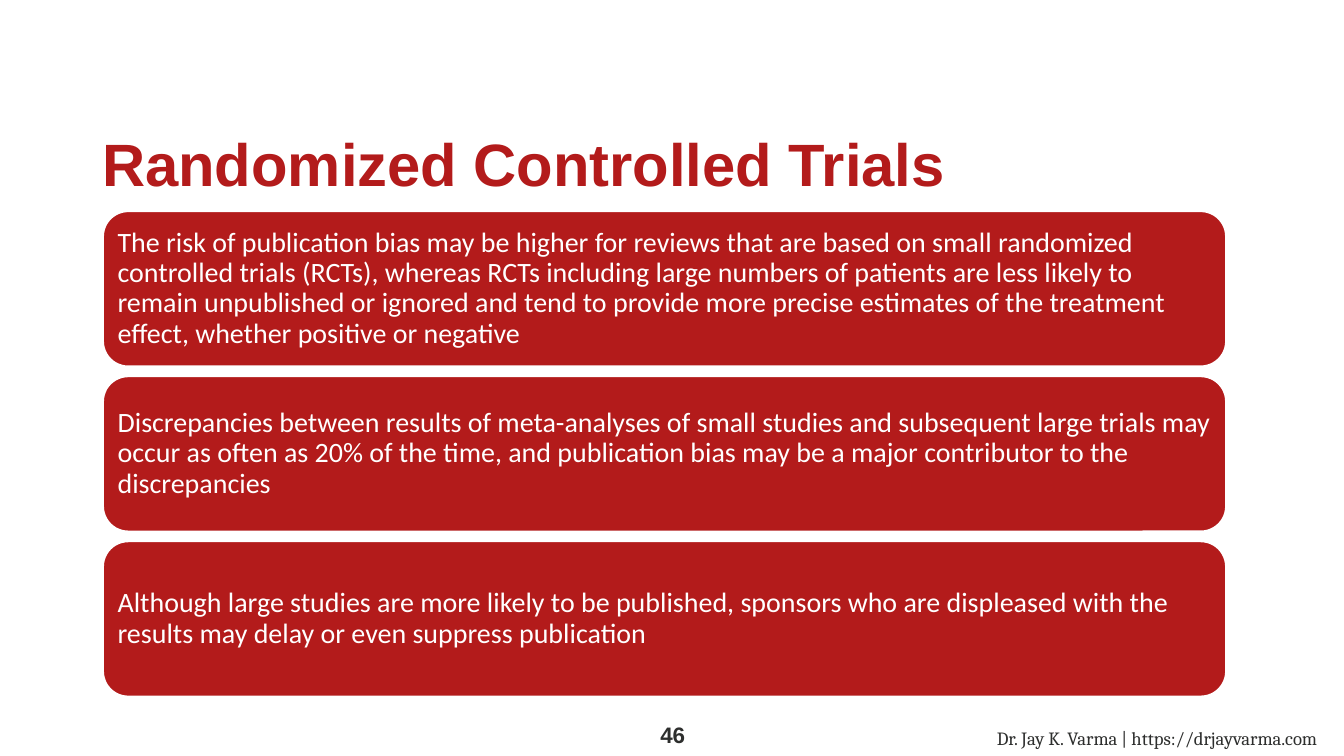
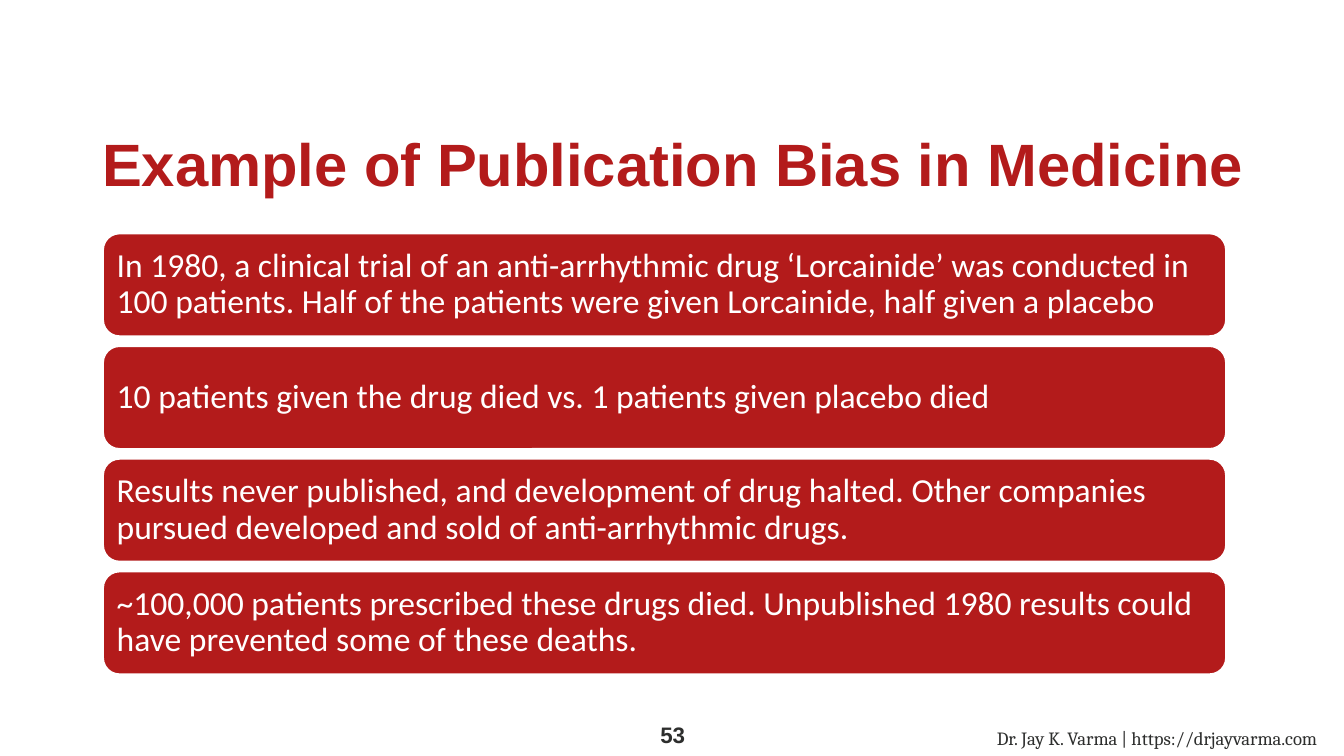
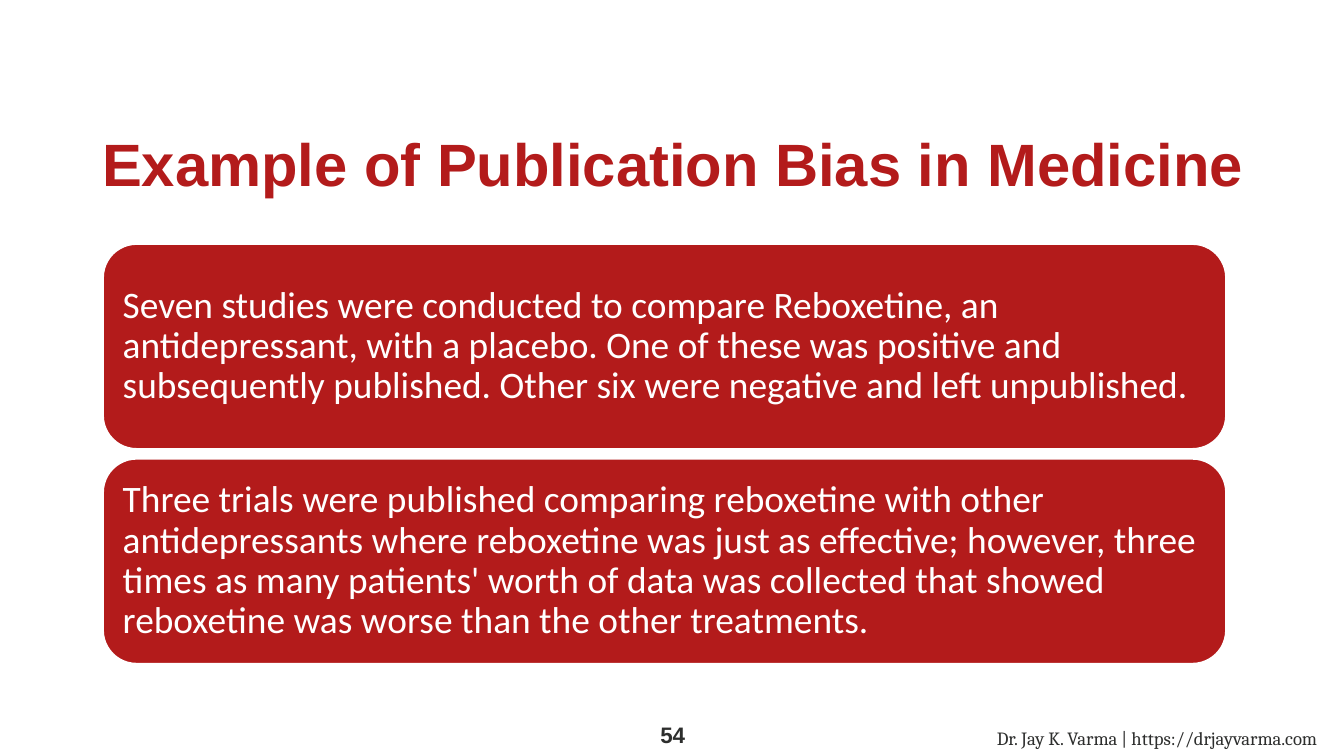
from pptx import Presentation
from pptx.dml.color import RGBColor
from pptx.enum.shapes import MSO_SHAPE
from pptx.enum.text import MSO_ANCHOR, MSO_AUTO_SIZE, PP_ALIGN
from pptx.util import Cm, Pt

RED = RGBColor(0xB3, 0x1B, 0x1B)
WHITE = RGBColor(0xFF, 0xFF, 0xFF)
INK = RGBColor(0x2D, 0x2E, 0x2D)

ROUND = MSO_SHAPE.ROUNDED_RECTANGLE
TOP, MIDDLE = MSO_ANCHOR.TOP, MSO_ANCHOR.MIDDLE
LEFT, CENTER = PP_ALIGN.LEFT, PP_ALIGN.CENTER
NO_FIT = MSO_AUTO_SIZE.NONE

# Shared grid, in centimetres
EDGE = 1.93
CARD_WIDTH = 21.26
CARD_GAP = 0.15
CARD_MID = 8.58

CREDIT = "Dr. Jay K. Varma | https://drjayvarma.com"
BIAS = "Example of Publication Bias in Medicine"

# Page number, title, card height, text size, card texts
PAGES = [
    (46, "Randomized Controlled Trials", 2.97, 15, [
        "The risk of publication bias may be higher for reviews that are based "
        "on small randomized controlled trials (RCTs), whereas RCTs including "
        "large numbers of patients are less likely to remain unpublished or "
        "ignored and tend to provide more precise estimates of the treatment "
        "effect, whether positive or negative",
        "Discrepancies between results of meta-analyses of small studies and "
        "subsequent large trials may occur as often as 20% of the time, and "
        "publication bias may be a major contributor to the discrepancies",
        "Although large studies are more likely to be published, sponsors who "
        "are displeased with the results may delay or even suppress publication",
    ]),
    (53, BIAS, 1.98, 18, [
        "In 1980, a clinical trial of an anti-arrhythmic drug ‘Lorcainide’ was "
        "conducted in 100 patients. Half of the patients were given Lorcainide, "
        "half given a placebo",
        "10 patients given the drug died vs. 1 patients given placebo died",
        "Results never published, and development of drug halted. Other "
        "companies pursued developed and sold of anti-arrhythmic drugs.",
        "~100,000 patients prescribed these drugs died. Unpublished 1980 "
        "results could have prevented some of these deaths.",
    ]),
    (54, BIAS, 3.91, 20, [
        "Seven studies were conducted to compare Reboxetine, an antidepressant, "
        "with a placebo. One of these was positive and subsequently published. "
        "Other six were negative and left unpublished.",
        "Three trials were published comparing reboxetine with other "
        "antidepressants where reboxetine was just as effective; however, three "
        "times as many patients' worth of data was collected that showed "
        "reboxetine was worse than the other treatments.",
    ]),
]


class Deck:
    def __init__(self):
        self.show = Presentation()
        self.show.slide_width = Cm(25.4)
        self.show.slide_height = Cm(14.29)
        self.slide = None

    def fill_text(self, shape, text, font, size, color, bold=False,
                  align=LEFT, anchor=TOP, inset=None):
        frame = shape.text_frame
        frame.text = text
        frame.word_wrap = True
        frame.auto_size = NO_FIT
        frame.vertical_anchor = anchor
        if inset is not None:
            frame.margin_left = frame.margin_right = Cm(inset)
            frame.margin_top = frame.margin_bottom = Cm(inset)
        line = frame.paragraphs[0]
        line.alignment = align
        line.font.name = font
        line.font.size = Pt(size)
        line.font.bold = bold
        line.font.color.rgb = color
        return line

    def start(self, title):
        self.slide = self.show.slides.add_slide(self.show.slide_layouts[5])
        head = self.slide.shapes.title
        head.left, head.top = Cm(EDGE), Cm(2.39)
        head.width, head.height = Cm(21.74), Cm(1.5)
        self.fill_text(head, title, "Arial", 32, RED, bold=True, inset=0)

    def label(self, text, left, top, width, height, *style, **more):
        box = self.slide.shapes.add_textbox(
            Cm(left), Cm(top), Cm(width), Cm(height))
        self.fill_text(box, text, *style, **more)

    def card(self, text, top, height, size):
        box = self.slide.shapes.add_shape(
            ROUND, Cm(EDGE), Cm(top), Cm(CARD_WIDTH), Cm(height))
        box.shadow.inherit = False
        box.fill.solid()
        box.fill.fore_color.rgb = RED
        box.line.color.rgb = WHITE
        box.line.width = Pt(2)
        line = self.fill_text(box, text, "Calibri", size, WHITE,
                              anchor=MIDDLE, inset=size / 100)
        line.line_spacing = 0.9

    def stack(self, texts, height, size):
        # Cards are centred as a group around one height
        step = height + CARD_GAP
        top = CARD_MID - (len(texts) * step - CARD_GAP) / 2
        for row, text in enumerate(texts):
            self.card(text, top + row * step, height, size)

    def footer(self, number):
        self.label(str(number), 11.99, 13.51, 1.45, 0.76, "Arial", 12, INK,
                   bold=True, align=CENTER, anchor=MIDDLE)
        self.label(CREDIT, 18.59, 13.61, 6.8, 0.68, "Cambria", 10, INK)


def main():
    deck = Deck()
    for number, title, height, size, texts in PAGES:
        deck.start(title)
        deck.stack(texts, height, size)
        deck.footer(number)
    deck.show.save("out.pptx")


if __name__ == "__main__":
    main()
